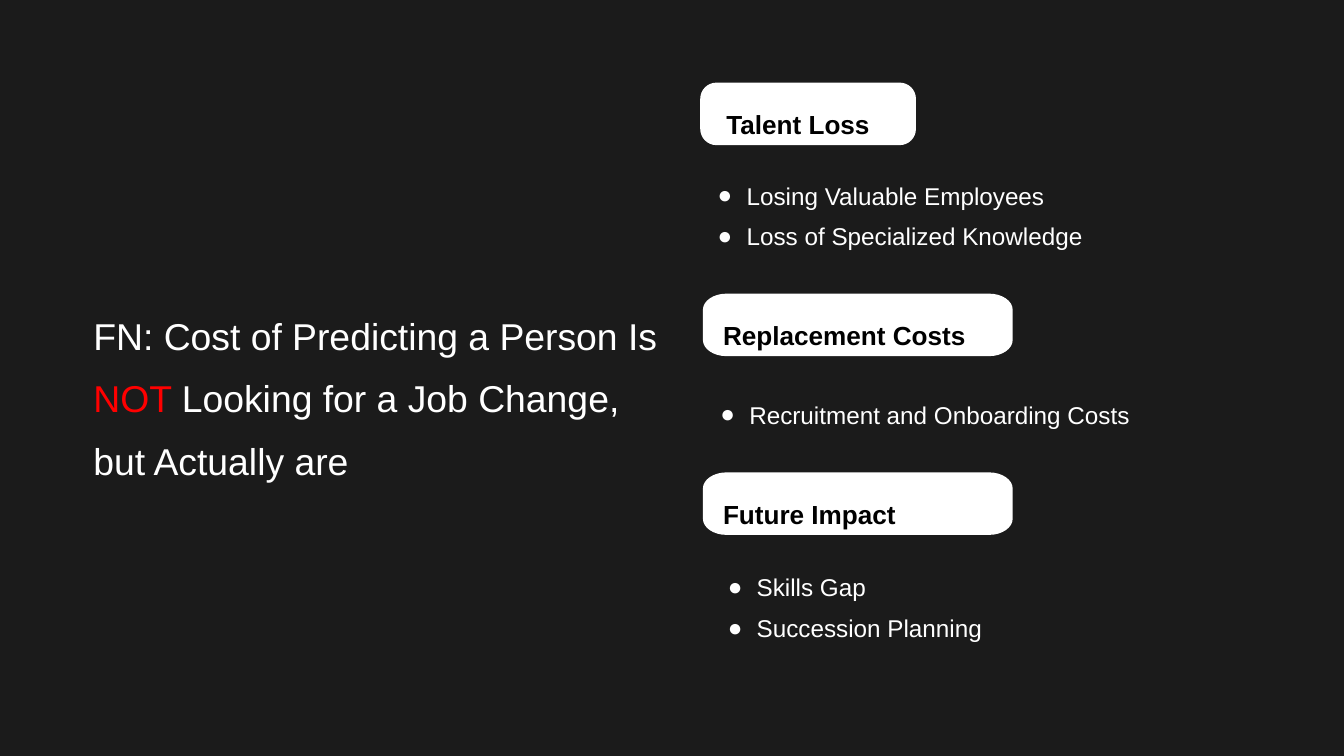
from lxml import etree
from pptx import Presentation
from pptx.dml.color import RGBColor
from pptx.enum.text import MSO_ANCHOR, MSO_AUTO_SIZE, PP_ALIGN
from pptx.oxml.ns import qn
from pptx.util import Inches, Pt

TOP = MSO_ANCHOR.TOP
GROW = MSO_AUTO_SIZE.SHAPE_TO_FIT_TEXT
LEFT = PP_ALIGN.LEFT
TITLE_ONLY = 5
FONT = "Arial"
COLORS = {"background": "1B1B1B", "light": "FFFFFF", "dark": "000000", "alert": "FF0000"}
TEXT_WIDTH = 7.79
LABEL_HEIGHT = 0.93
CORNER_HEIGHT = 0.24
CURVE = 0.55

TITLE = [
    ("FN: Cost of Predicting a Person Is ", "light"),
    ("NOT ", "alert"),
    ("Looking for a Job Change, but Actually are", "light"),
]
SECTIONS = [
    {"heading": "Talent Loss", "label": (10.42, 1.23, 3.21), "corner": 0.24,
     "heading_left": 10.81, "list_at": (10.61, 2.52),
     "items": ["Losing Valuable Employees", "Loss of Specialized Knowledge"]},
    {"heading": "Replacement Costs", "label": (10.46, 4.37, 4.61), "corner": 0.35,
     "heading_left": 10.76, "list_at": (10.65, 5.78),
     "items": ["Recruitment and Onboarding Costs"]},
    {"heading": "Future Impact", "label": (10.46, 7.03, 4.61), "corner": 0.35,
     "heading_left": 10.76, "list_at": (10.76, 8.35),
     "items": ["Skills Gap", "Succession Planning"]},
]


def color(name):
    """Return the named colour."""
    return RGBColor.from_string(COLORS[name])


def add_bullet(paragraph):
    """Give a paragraph a hanging round bullet."""
    properties = paragraph._p.get_or_add_pPr()
    properties.set("marL", str(Inches(0.5)))
    properties.set("indent", str(Inches(-0.43)))
    bullet_color = etree.SubElement(properties, qn("a:buClr"))
    etree.SubElement(bullet_color, qn("a:srgbClr"), val=COLORS["light"])
    etree.SubElement(properties, qn("a:buFont"), typeface=FONT)
    etree.SubElement(properties, qn("a:buChar"), char="●")


def write_text(shape, paragraphs, size=26, bold=False, bullet=False):
    """Fill a shape with paragraphs, each a list of text and colour pairs."""
    frame = shape.text_frame
    frame.word_wrap = True
    frame.auto_size = GROW
    frame.vertical_anchor = TOP
    frame.margin_left = frame.margin_right = frame.margin_top = frame.margin_bottom = 0
    for index, runs in enumerate(paragraphs):
        paragraph = frame.add_paragraph() if index else frame.paragraphs[0]
        paragraph.alignment = LEFT
        paragraph.line_spacing = 1.4
        if bullet:
            add_bullet(paragraph)
        for text, color_name in runs:
            run = paragraph.add_run()
            run.text = text
            run.font.name = FONT
            run.font.size = Pt(size)
            run.font.bold = bold
            run.font.color.rgb = color(color_name)


def add_title(slide, left, top, width, height):
    """Place the slide title with its highlighted word."""
    title = slide.shapes.title
    title.left, title.top = Inches(left), Inches(top)
    title.width, title.height = Inches(width), Inches(height)
    write_text(title, [TITLE], size=40)


def round_corners(shape):
    """Turn every second straight segment of an outline into a curved corner."""
    points = [(int(point.get("x")), int(point.get("y")))
              for point in shape._element.iter(qn("a:pt"))]
    segments = list(shape._element.iter(qn("a:lnTo")))
    for index in range(1, len(segments), 2):
        start, end = points[index], points[index + 1]
        corner = (end[0], start[1]) if index % 4 == 1 else (start[0], end[1])
        controls = [tuple(round(a + CURVE * (b - a)) for a, b in zip(point, corner))
                    for point in (start, end)]
        curve = etree.Element(qn("a:cubicBezTo"))
        for x, y in (*controls, end):
            etree.SubElement(curve, qn("a:pt"), x=str(x), y=str(y))
        segment = segments[index]
        segment.getparent().replace(segment, curve)


def add_label(slide, left, top, width, height, corner):
    """Draw a white label with elliptical corners."""
    right, bottom = left + width, top + height
    outline = [
        (left + corner, top), (right - corner, top),
        (right, top + CORNER_HEIGHT), (right, bottom - CORNER_HEIGHT),
        (right - corner, bottom), (left + corner, bottom),
        (left, bottom - CORNER_HEIGHT), (left, top + CORNER_HEIGHT),
    ]
    points = [(Inches(x), Inches(y)) for x, y in outline]
    builder = slide.shapes.build_freeform(*points[0])
    builder.add_line_segments(points[1:] + points[:1], close=True)
    label = builder.convert_to_shape()
    round_corners(label)
    label.shadow.inherit = False
    label.fill.solid()
    label.fill.fore_color.rgb = color("light")
    label.line.fill.background()


def add_section(slide, section):
    """Place a labelled heading and its bullet list."""
    left, top, width = section["label"]
    add_label(slide, left, top, width, LABEL_HEIGHT, section["corner"])
    heading = slide.shapes.add_textbox(Inches(section["heading_left"]), Inches(top + 0.2),
                                       Inches(TEXT_WIDTH), Inches(0.47))
    write_text(heading, [[(section["heading"], "dark")]], size=28, bold=True)
    list_left, list_top = section["list_at"]
    items = section["items"]
    bullets = slide.shapes.add_textbox(Inches(list_left), Inches(list_top),
                                       Inches(TEXT_WIDTH), Inches(0.52 * len(items)))
    write_text(bullets, [[(item, "light")] for item in items], bullet=True)


def main():
    """Build and save the presentation."""
    presentation = Presentation()
    presentation.slide_width, presentation.slide_height = Inches(20), Inches(11.25)
    slide = presentation.slides.add_slide(presentation.slide_layouts[TITLE_ONLY])
    slide.background.fill.solid()
    slide.background.fill.fore_color.rgb = color("background")
    add_title(slide, 1.39, 4.39, 8.75, 3.84)
    for section in SECTIONS:
        add_section(slide, section)
    presentation.save("out.pptx")


if __name__ == "__main__":
    main()
